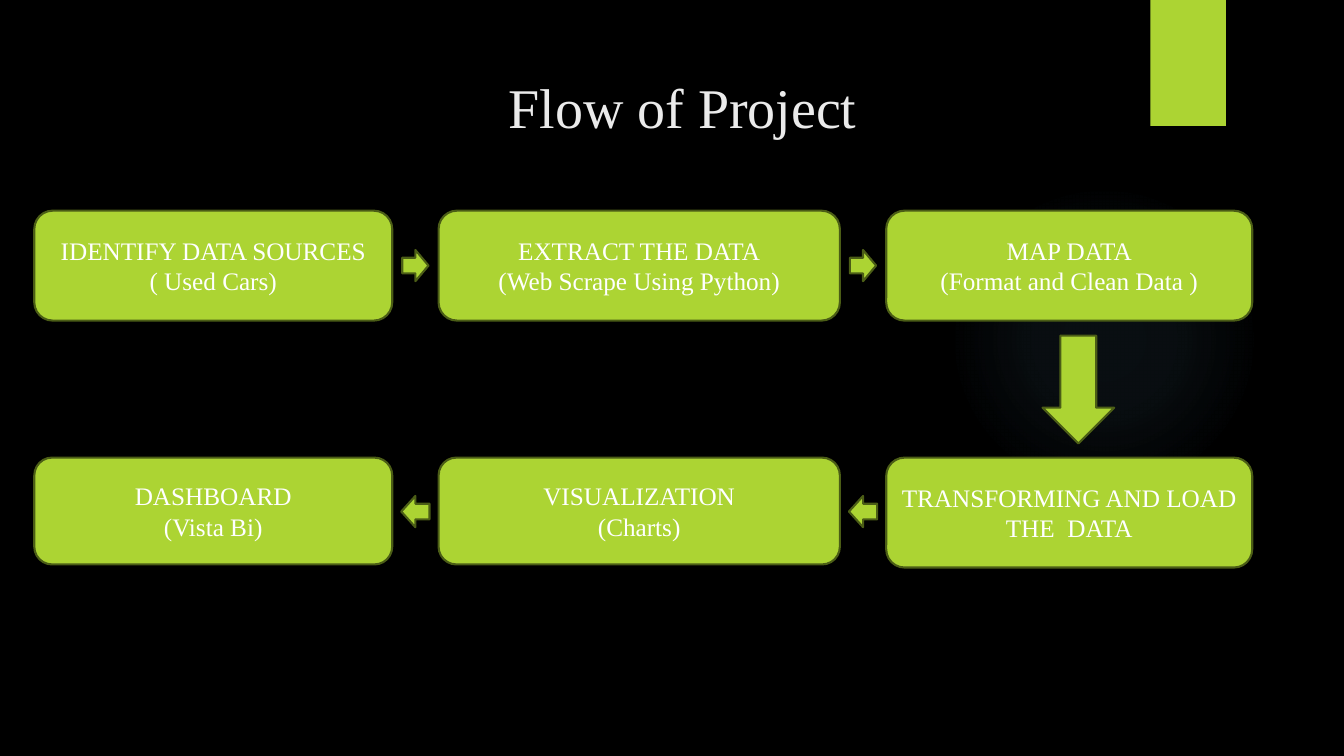
from lxml import etree
from pptx import Presentation
from pptx import util as u
from pptx.dml.color import RGBColor
from pptx.enum import shapes, text
from pptx.oxml import ns

LIME, EDGE, WHITE = "ACD433", "4B5D16", "FFFFFF"
KIND = shapes.MSO_SHAPE


def rgb(code):
    return RGBColor.from_string(code)


def parts(xml):
    """Turn a fragment of DrawingML into an element."""
    return etree.fromstring(xml.replace(">", f" {ns.nsdecls('a')}>", 1))


class Deck:
    font = "Times New Roman"

    def __init__(self, wide, high):
        self.prs = Presentation()
        self.prs.slide_width = u.Inches(wide)
        self.prs.slide_height = u.Inches(high)
        self.slide = self.prs.slides.add_slide(self.prs.slide_layouts[5])

    def ground(self, color):
        fill = self.slide.background.fill
        fill.solid()
        fill.fore_color.rgb = rgb(color)

    def shape(self, kind, at, edge=EDGE):
        item = self.slide.shapes.add_shape(kind, *map(u.Inches, at))
        item.shadow.inherit = False
        item.fill.solid()
        item.fill.fore_color.rgb = rgb(LIME)
        if edge:
            item.line.color.rgb = rgb(edge)
            item.line.width = u.Pt(1.5)
        else:
            item.line.fill.background()
        return item

    def label(self, frame, lines, size, color):
        frame.word_wrap = True
        frame.text = "\n".join(lines)
        for para in frame.paragraphs:
            para.alignment = text.PP_ALIGN.CENTER
            para.font.name = self.font
            para.font.size = u.Pt(size)
            para.font.color.rgb = rgb(color)

    def title(self, words, at):
        item = self.slide.shapes.title
        item.left, item.top, item.width, item.height = map(u.Inches, at)
        frame = item.text_frame
        self.label(frame, [words], 40, "EBEBEB")
        frame.auto_size = text.MSO_AUTO_SIZE.NONE
        frame.vertical_anchor = text.MSO_ANCHOR.TOP
        frame.margin_top = u.Inches(0.11)

    def step(self, at, lines):
        frame = self.shape(KIND.ROUNDED_RECTANGLE, at).text_frame
        frame.vertical_anchor = text.MSO_ANCHOR.MIDDLE
        self.label(frame, lines, 18, WHITE)

    def glow(self, at, color, stops):
        item = self.shape(KIND.OVAL, at, None)
        marks = "".join(
            f'<a:gs pos="{pos * 1000}"><a:srgbClr val="{color}">'
            f'<a:alpha val="{alpha * 1000}"/></a:srgbClr></a:gs>'
            for pos, alpha in stops)
        grad = parts(
            f'<a:gradFill><a:gsLst>{marks}</a:gsLst><a:path path="circle">'
            '<a:fillToRect l="50000" t="50000" r="50000" b="50000"/>'
            '</a:path></a:gradFill>')
        props = item._element.spPr
        props.replace(props.find(ns.qn("a:solidFill")), grad)

    def tab(self, at):
        item = self.shape(KIND.RECTANGLE, at, None)
        effects = item._element.spPr.find(ns.qn("a:effectLst"))
        effects.append(parts(
            '<a:outerShdw blurRad="38100" dist="25400" dir="5400000" '
            'rotWithShape="0"><a:srgbClr val="000000">'
            '<a:alpha val="45000"/></a:srgbClr></a:outerShdw>'))


def main():
    deck = Deck(13.33, 7.5)

    # Backdrop and title
    deck.ground("000000")
    deck.glow((9.41, 1.83, 3.08, 3.08), "7AC4F0", [(0, 7), (36, 6), (69, 0)])
    deck.tab((11.41, 0, 0.75, 1.25))
    deck.title("Flow of Project", (1.31, 0.61, 10.92, 0.94))

    # Steps: two rows on three shared columns
    cols = [(0.34, 3.55), (4.35, 3.98), (8.79, 3.63)]
    rows = [
        (2.09, [(1.09, ["IDENTIFY DATA SOURCES", "( Used Cars)"]),
                (1.09, ["EXTRACT THE DATA", "(Web Scrape Using Python)"]),
                (1.09, ["MAP DATA", "(Format and Clean Data )"])]),
        (4.54, [(1.06, ["DASHBOARD", "(Vista Bi)"]),
                (1.06, ["VISUALIZATION", "(Charts)"]),
                (1.09, ["TRANSFORMING AND LOAD THE  DATA"])]),
    ]
    for top, steps in rows:
        for (left, wide), (high, lines) in zip(cols, steps):
            deck.step((left, top, wide, high), lines)

    # Arrows: centred in the gaps between columns, then down to row two
    for (left, wide), (right, _) in zip(cols, cols[1:]):
        mid = (left + wide + right) / 2
        for kind, top, span in ((KIND.RIGHT_ARROW, 2.48, 0.26),
                                (KIND.LEFT_ARROW, 4.92, 0.28)):
            deck.shape(kind, (mid - span / 2, top, span, 0.31))
    deck.shape(KIND.DOWN_ARROW, (10.34, 3.33, 0.71, 1.07))

    deck.prs.save("out.pptx")


if __name__ == "__main__":
    main()
